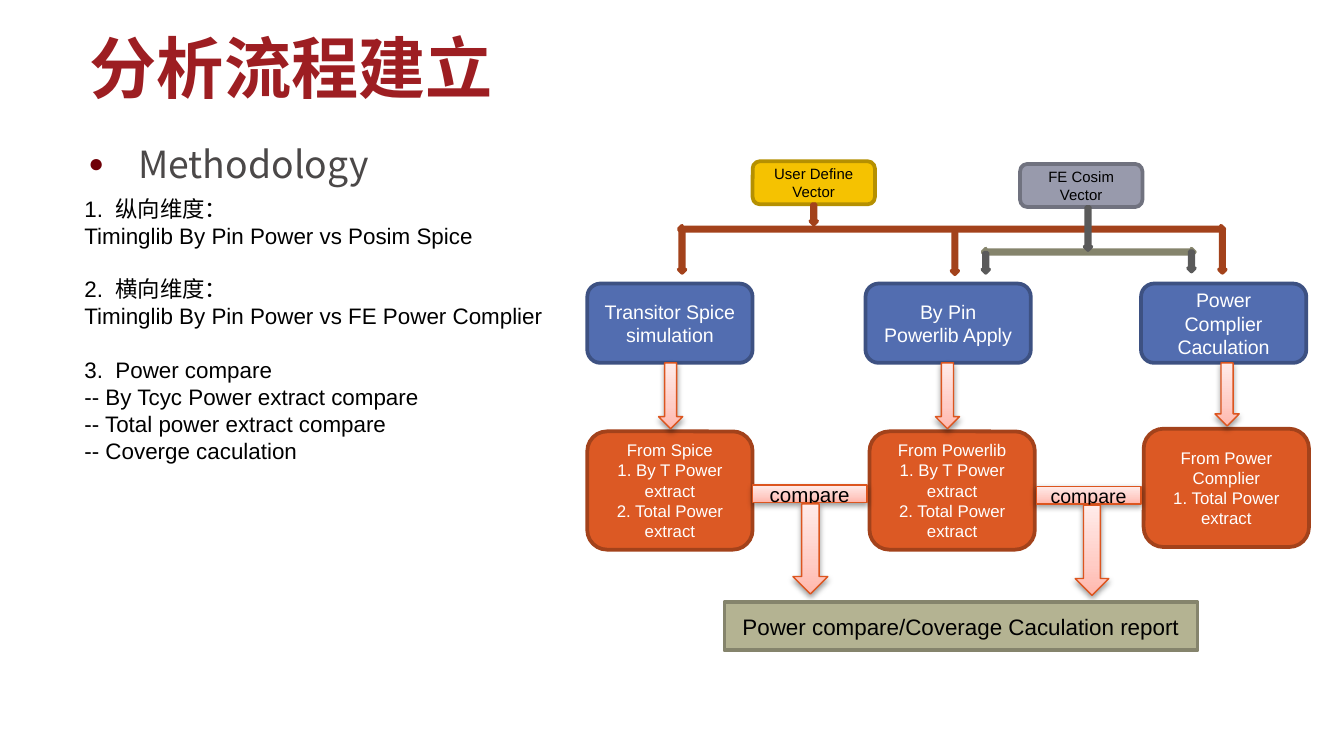
"""Build the power analysis flow slide."""
from lxml.etree import SubElement as sub
from pptx import Presentation
from pptx.dml.color import RGBColor
from pptx.enum.shapes import MSO_SHAPE as Kind
from pptx.enum.text import MSO_ANCHOR as Anchor, PP_ALIGN as Align
from pptx.oxml.ns import qn
from pptx.util import Inches, Pt

BLACK = RGBColor(0x00, 0x00, 0x00)
WHITE = RGBColor(0xFF, 0xFF, 0xFF)
CRIMSON = RGBColor(0x9D, 0x1E, 0x22)
MAROON = RGBColor(0x6F, 0x00, 0x07)
SLATE = RGBColor(0x4B, 0x48, 0x48)
EDGE = RGBColor(0xDC, 0x55, 0x1F)
GOLD = RGBColor(0xF5, 0xC2, 0x01), RGBColor(0xB5, 0x90, 0x01)
STEEL = RGBColor(0x98, 0x9A, 0xAC), RGBColor(0x70, 0x72, 0x7F)
BLUE = RGBColor(0x52, 0x6D, 0xB0), RGBColor(0x3D, 0x51, 0x82)
RUST = RGBColor(0xDC, 0x59, 0x24), RGBColor(0xA3, 0x42, 0x1B)
OLIVE = RGBColor(0xB4, 0xB3, 0x92), RGBColor(0x85, 0x84, 0x6C)
GREY = RGBColor(0x7A, 0x7A, 0x7A), RGBColor(0x5A, 0x5A, 0x5A)
BLUSH = (
    (0, RGBColor(0xFF, 0xB7, 0xAD)),
    (35, RGBColor(0xFF, 0xCC, 0xC5)),
    (100, RGBColor(0xFF, 0xEB, 0xE9)),
)


def write(frame, text, size=12, color=BLACK, font="Arial", bold=False,
          align=Align.LEFT, anchor=Anchor.TOP, gap=0, heads=()):
    frame.word_wrap = True
    frame.vertical_anchor = anchor
    for i, line in enumerate(text.split("\n")):
        para = frame.paragraphs[0] if i == 0 else frame.add_paragraph()
        para.alignment = align
        if i in heads:
            para.space_before = Pt(gap)
        run = para.add_run()
        run.text = line
        run.font.size = Pt(size)
        run.font.name = font
        run.font.bold = bold
        run.font.color.rgb = color
        sub(run.font._element, qn("a:ea"), typeface="Noto Sans CJK SC")


class Board:
    font = "Arial"
    edge = 2

    def __init__(self, slide):
        self.slide = slide

    def note(self, x, y, w, h, text, **style):
        box = self.slide.shapes.add_textbox(*map(Inches, (x, y, w, h)))
        write(box.text_frame, text, **style)
        return box

    def point(self, x, y, w, h, text, **style):
        para = self.note(x, y, w, h, text, **style).text_frame.paragraphs[0]
        props = para._p.get_or_add_pPr()
        props.set("marL", str(Inches(0.37)))
        props.set("indent", str(Inches(-0.37)))
        tint = sub(props, qn("a:buClr"))
        sub(tint, qn("a:srgbClr"), val=str(MAROON))
        sub(props, qn("a:buSzPct"), val="70000")
        sub(props, qn("a:buFont"), typeface=self.font)
        sub(props, qn("a:buChar"), char="●")

    def shape(self, kind, x, y, w, h, paint, text="", size=12, color=BLACK):
        item = self.slide.shapes.add_shape(kind, *map(Inches, (x, y, w, h)))
        item.shadow.inherit = False
        if paint is BLUSH:
            self.blush(item)
        else:
            item.fill.solid()
            item.fill.fore_color.rgb, item.line.color.rgb = paint
            item.line.width = Pt(self.edge)
        if text:
            write(item.text_frame, text, size=size, color=color,
                  font=self.font, align=Align.CENTER, anchor=Anchor.MIDDLE)

    def blush(self, item):
        item.line.color.rgb = EDGE
        item.line.width = Pt(0.75)
        item.fill.gradient()
        item.fill.gradient_angle = 90
        props = item._element.spPr
        stops = props.find(".//" + qn("a:gsLst"))
        for old in list(stops):
            stops.remove(old)
        for pos, tone in BLUSH:
            stop = sub(stops, qn("a:gs"), pos=str(pos * 1000))
            sub(stop, qn("a:srgbClr"), val=str(tone))
        shade = sub(props.find(qn("a:effectLst")), qn("a:outerShdw"),
                    blurRad=str(Pt(3.1)), dist=str(Pt(1.6)),
                    dir="5400000", rotWithShape="0")
        tone = sub(shade, qn("a:srgbClr"), val=str(BLACK))
        sub(tone, qn("a:alpha"), val="38000")

    def card(self, *args, **style):
        self.shape(Kind.ROUNDED_RECTANGLE, *args, **style)

    def bar(self, *args, **style):
        self.shape(Kind.RECTANGLE, *args, **style)

    def down(self, *args):
        self.shape(Kind.DOWN_ARROW, *args)

    def bus(self, x, y, w, paint):
        self.shape(Kind.LEFT_RIGHT_ARROW, x, y, w, 0.05, paint)


def main():
    deck = Presentation()
    deck.slide_width = Inches(10)
    deck.slide_height = Inches(10) * 9 // 16
    board = Board(deck.slides.add_slide(deck.slide_layouts[6]))

    board.note(0.57, 0.15, 9.57, 0.69, "分析流程建立", size=36, bold=True,
               color=CRIMSON, font="Montserrat", anchor=Anchor.MIDDLE)
    board.point(0.56, 1, 8.79, 4.25, "Methodology", size=20, color=SLATE,
                font="Noto Sans CJK SC", gap=4, heads=(0,))

    board.card(5.6, 1.2, 0.91, 0.32, GOLD, "User Define Vector", size=8)
    board.card(7.59, 1.22, 0.91, 0.32, STEEL, "FE Cosim Vector", size=8)
    for x, text in ((4.37, "Transitor Spice simulation"),
                    (6.44, "By Pin Powerlib Apply"),
                    (8.49, "Power Complier Caculation")):
        board.card(x, 2.11, 1.23, 0.59, BLUE, text, size=10.5, color=WHITE)

    board.bus(5.05, 1.68, 4.06, RUST)
    for x, y, h in ((5.05, 1.71, 0.32), (9.07, 1.7, 0.33), (7.08, 1.73, 0.31)):
        board.down(x, y, 0.05, h, RUST)
    board.bus(7.31, 1.85, 1.58, OLIVE)
    for x, y, h in ((7.31, 1.88, 0.15), (8.84, 1.87, 0.15), (8.07, 1.54, 0.32)):
        board.down(x, y, 0.05, h, GREY)
    board.down(6.03, 1.52, 0.05, 0.15, RUST)

    both = "\n1. By T Power extract\n2. Total Power extract"
    for x, y, text in ((4.37, 3.21, "From Spice" + both),
                       (6.47, 3.21, "From Powerlib" + both),
                       (8.51, 3.19, "From Power Complier\n1. Total Power extract")):
        board.card(x, y, 1.23, 0.88, RUST, text, size=9, color=WHITE)
    for x, h in ((4.9, 0.49), (6.96, 0.49), (9.04, 0.47)):
        board.down(x, 2.7, 0.18, h, BLUSH)

    for x, y, w, size, tip, wide in ((5.6, 3.61, 0.85, 11, 5.9, 0.26),
                                     (7.71, 3.62, 0.78, 10.5, 8, 0.25)):
        board.bar(x, y, w, 0.13, BLUSH, "compare", size=size)
        board.down(tip, y + 0.14, wide, 0.67, BLUSH)
    board.bar(5.39, 4.48, 3.52, 0.36, OLIVE,
              "Power compare/Coverage Caculation report")

    steps = ("1.  纵向维度：", "Timinglib By Pin Power vs Posim Spice",
             "2.  横向维度：", "Timinglib By Pin Power vs FE Power Complier",
             "3.  Power compare", "-- By Tcyc Power extract compare",
             "-- Total power extract compare", "-- Coverge caculation")
    board.note(0.53, 1.4, 5, 2.12, "\n".join(steps), gap=14.4, heads=(2, 4))
    deck.save("out.pptx")


if __name__ == "__main__":
    main()
